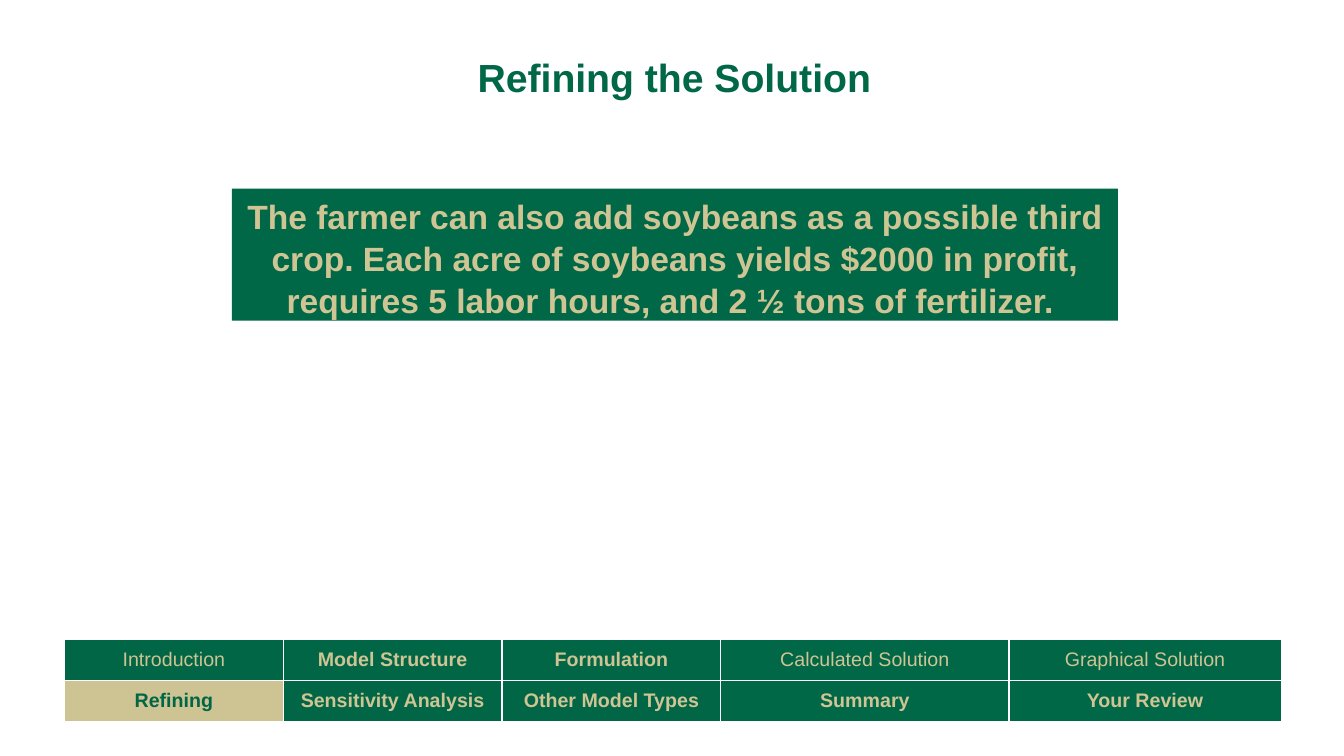
from lxml import etree
from pptx import Presentation
from pptx import util as u
from pptx.dml.color import RGBColor
from pptx.enum import shapes, text
from pptx.oxml.ns import qn

COLORS = {"green": "006747", "dark": "006646", "gold": "CFC493",
          "sand": "CEC393", "white": "FFFFFF"}

# label, text colour, fill colour, bold
MENU = [
    [("Introduction", "sand", "dark", False),
     ("Model Structure", "gold", "dark", True),
     ("Formulation", "sand", "dark", True),
     ("Calculated Solution", "gold", "green", False),
     ("Graphical Solution", "sand", "dark", False)],
    [("Refining", "dark", "sand", True),
     ("Sensitivity Analysis", "gold", "dark", True),
     ("Other Model Types", "gold", "dark", True),
     ("Summary", "gold", "green", True),
     ("Your Review", "gold", "green", True)],
]


class Deck:
    def __init__(self, wide, high):
        self.prs = Presentation()
        self.prs.slide_width, self.prs.slide_height = u.Pt(wide), u.Pt(high)
        self.slide = self.prs.slides.add_slide(self.prs.slide_layouts[6])
        self.font = "Arial"

    def paint(self, item, color):
        item.fill.solid()
        item.fill.fore_color.rgb = RGBColor.from_string(COLORS[color])

    def label(self, frame, words, size, color, bold=True, pitch=None):
        """Put one centred run in the frame's first paragraph."""
        para = frame.paragraphs[0]
        para.alignment = text.PP_ALIGN.CENTER
        para.line_spacing = pitch
        run = para.add_run()
        run.text = words
        run.font.name, run.font.size, run.font.bold = self.font, u.Pt(size), bold
        run.font.color.rgb = RGBColor.from_string(COLORS[color])

    def title(self, box, words):
        frame = self.slide.shapes.add_textbox(*map(u.Pt, box)).text_frame
        frame.word_wrap = True
        frame.margin_top = u.Pt(6.2)
        self.label(frame, words, 28, "green")

    def panel(self, box, words):
        shape = self.slide.shapes.add_shape(
            shapes.MSO_SHAPE.RECTANGLE, *map(u.Pt, box))
        shape.shadow.inherit = False
        self.paint(shape, "green")
        shape.line.fill.background()
        frame = shape.text_frame
        frame.word_wrap = True
        frame.auto_size = text.MSO_AUTO_SIZE.SHAPE_TO_FIT_TEXT
        frame.vertical_anchor = text.MSO_ANCHOR.TOP
        self.label(frame, words, 24, "gold", pitch=1.05)

    def border(self, cell, color, width):
        props = cell._tc.get_or_add_tcPr()
        for spot, side in enumerate(("lnL", "lnR", "lnT", "lnB")):
            line = etree.Element(qn(f"a:{side}"), w=str(u.Pt(width)))
            fill = etree.SubElement(line, qn("a:solidFill"))
            etree.SubElement(fill, qn("a:srgbClr"), val=COLORS[color])
            props.insert(spot, line)

    def menu(self, left, top, widths, high, rows):
        grid = self.slide.shapes.add_table(
            len(rows), len(widths), u.Pt(left), u.Pt(top),
            u.Pt(sum(widths)), u.Pt(high * len(rows))).table
        for col, width in zip(grid.columns, widths):
            col.width = u.Pt(width)
        for r, row in enumerate(rows):
            grid.rows[r].height = u.Pt(high)
            for c, (words, color, fill, bold) in enumerate(row):
                cell = grid.cell(r, c)
                cell.vertical_anchor = text.MSO_ANCHOR.MIDDLE
                self.paint(cell, fill)
                self.border(cell, "white", 1)
                self.label(cell.text_frame, words, 14, color, bold)


def main():
    deck = Deck(960, 540)
    deck.title((175.7, 31.7, 612, 54), "Refining the Solution")
    deck.menu(46.1, 456.6, [156.3, 156.3, 156.3, 205.8, 194.4], 29.5, MENU)
    deck.panel((165.6, 134.7, 632.9, 94.3),
               "The farmer can also add soybeans as a possible third crop. "
               "Each acre of soybeans yields $2000 in profit, requires "
               "5 labor hours, and 2 ½ tons of fertilizer. ")
    deck.prs.save("out.pptx")


if __name__ == "__main__":
    main()
